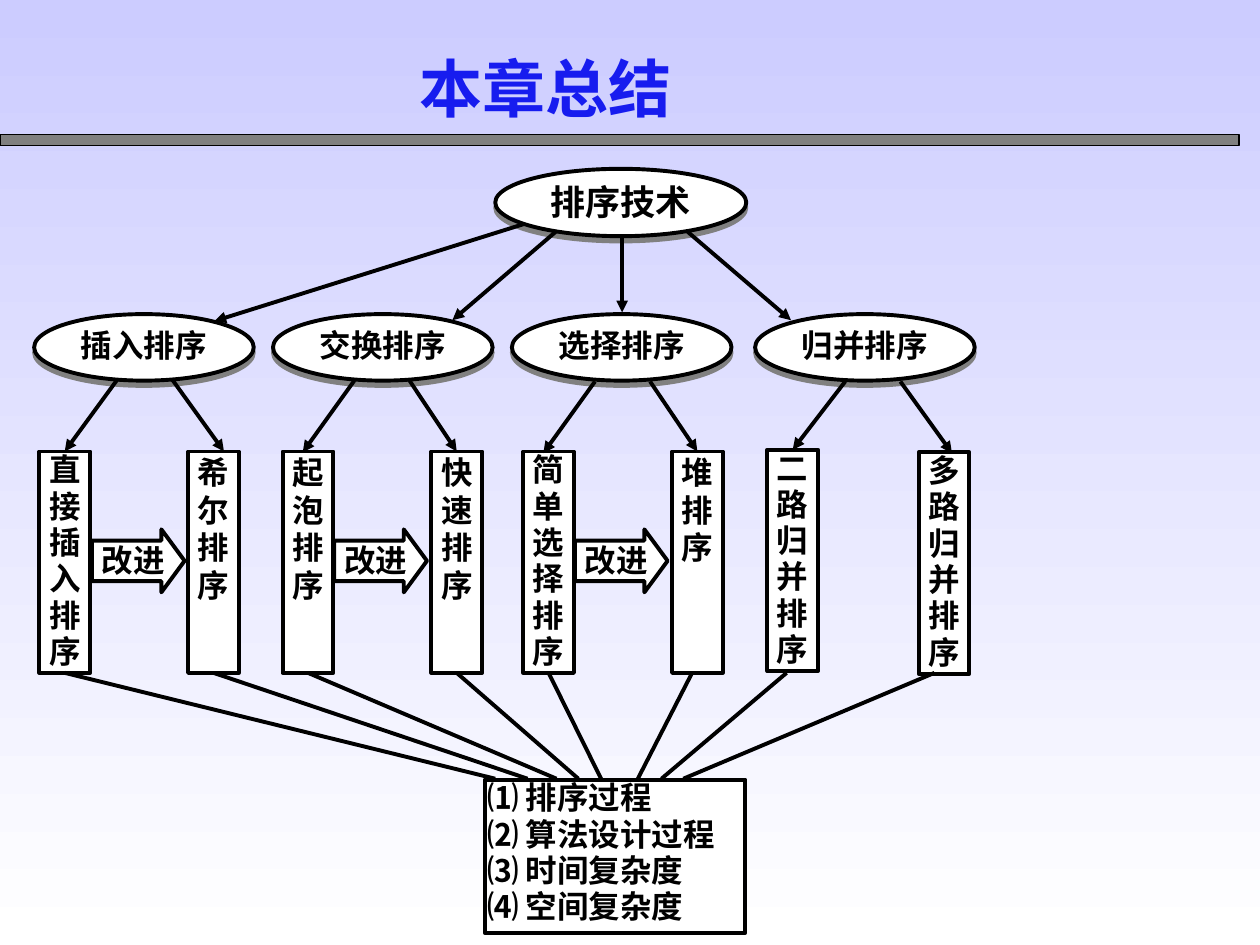
"""Build the chapter summary slide: a tree of sorting methods."""
from lxml.etree import SubElement
from pptx import Presentation
from pptx.dml.color import RGBColor
from pptx.enum.shapes import MSO_CONNECTOR, MSO_SHAPE
from pptx.enum.text import MSO_ANCHOR, MSO_AUTO_SIZE, PP_ALIGN
from pptx.oxml.ns import qn
from pptx.util import Pt

COLORS = {"sky": "CCCCFF", "white": "FFFFFF", "black": "000000",
          "gray": "808080", "title": "171CEF"}
FONT = "Times New Roman"
TITLE = "本章总结"
ROOT = "排序技术"
UPGRADE = "改进"
TOPICS = ["⑴ 排序过程", "⑵ 算法设计过程", "⑶ 时间复杂度", "⑷ 空间复杂度"]

FAMILIES = [
    {"name": "插入排序", "left": 19.5, "fork": 67, "fork_top": 217,
     "methods": [("直接插入排序", 22.5, 258), ("希尔排序", 107.5, 258)], "upgrade": 52.5},
    {"name": "交换排序", "left": 156, "fork": 202.5, "fork_top": 217.5,
     "methods": [("起泡排序", 161.5, 258), ("快速排序", 246.5, 258)], "upgrade": 191},
    {"name": "选择排序", "left": 292.5, "fork": 340, "fork_top": 218,
     "methods": [("简单选择排序", 299, 258), ("堆排序", 384, 258)], "upgrade": 328.5},
    {"name": "归并排序", "left": 431.5, "fork": 483, "fork_top": 218,
     "methods": [("二路归并排序", 438.5, 257), ("多路归并排序", 525, 258.5)], "upgrade": None},
]
ROOT_ARROWS = [((299.5, 128), (122.5, 183.5)), ((317.5, 132.5), (258.5, 183)),
               ((355.5, 136), (355.5, 178.5)), ((393, 132.5), (452, 183))]
TOPIC_LINES = [(38, 283), (122.5, 301.5), (174, 318), (259, 330.5),
               (312, 343.5), (395.5, 364.5), (449.5, 378), (534, 390.5)]
METHOD_WIDTH, METHOD_HEIGHT = 29, 126.5
FORK_GAP, FORK_REACH, FORK_DROP = 31.5, 29.5, 41
JOIN_REACH = 2.5


def color(name):
    return RGBColor.from_string(COLORS[name])


def write(frame, lines, size, margins, align, ink="black", spacing=None):
    frame.word_wrap = True
    frame.vertical_anchor = MSO_ANCHOR.TOP
    (frame.margin_left, frame.margin_top,
     frame.margin_right, frame.margin_bottom) = map(Pt, margins)
    frame.text = "\n".join(lines)
    for para in frame.paragraphs:
        para.alignment = align
        para.line_spacing = spacing
        para.font.name = FONT
        para.font.size = Pt(size)
        para.font.bold = True
        para.font.color.rgb = color(ink)


def add_box(page, kind, place, fill="white", line=2.25):
    box = page.shapes.add_shape(kind, *map(Pt, place))
    box.shadow.inherit = False
    box.fill.solid()
    box.fill.fore_color.rgb = color(fill)
    box.line.color.rgb = color("black")
    box.line.width = Pt(line)
    return box


def add_oval(page, text, place, size):
    oval = add_box(page, MSO_SHAPE.OVAL, place)
    effects = oval._element.spPr.find(qn("a:effectLst"))
    shadow = SubElement(effects, qn("a:outerShdw"), dist=str(Pt(3)), dir="5400000",
                        algn="ctr", rotWithShape="0")
    SubElement(shadow, qn("a:srgbClr"), val=COLORS["gray"])
    write(oval.text_frame, [text], size, (4.5, 1, 4.5, 1), PP_ALIGN.CENTER)


def add_line(page, start, end, arrow=False):
    line = page.shapes.add_connector(MSO_CONNECTOR.STRAIGHT, *map(Pt, start + end))
    line.line.color.rgb = color("black")
    line.line.width = Pt(2.25)
    if arrow:
        SubElement(line.line._get_or_add_ln(), qn("a:tailEnd"), type="triangle")
    SubElement(line._element.spPr, qn("a:effectLst"))
    return line


def is_centre(x, box):
    return abs(x - (box.left + box.width / 2) / Pt(1)) <= JOIN_REACH


def add_method(page, name, left, top):
    box = add_box(page, MSO_SHAPE.RECTANGLE, (left, top, METHOD_WIDTH, METHOD_HEIGHT))
    write(box.text_frame, [name], 18, (1.5, 0.75, 1.5, 0.75), PP_ALIGN.CENTER,
          spacing=0.96 if len(name) > 4 else None)
    return box


def add_family(page, family):
    add_oval(page, family["name"], (family["left"], 179.5, 125.5, 38), 18)
    boxes = [add_method(page, *method) for method in family["methods"]]
    for side, box in enumerate(boxes):
        x, y = family["fork"] + side * FORK_GAP, family["fork_top"]
        tip = x + (FORK_REACH if side else -FORK_REACH)
        arrow = add_line(page, (x, y), (tip, y + FORK_DROP), arrow=True)
        if is_centre(tip, box):
            arrow.end_connect(box, 0)
    if family["upgrade"]:
        block = add_box(page, MSO_SHAPE.RIGHT_ARROW, (family["upgrade"], 302.5, 53, 36))
        block.adjustments[0], block.adjustments[1] = 0.643, 0.368
        write(block.text_frame, [UPGRADE], 18, (3, 0, 0, 0), PP_ALIGN.CENTER)
    return boxes


def main():
    deck = Presentation()
    deck.slide_width, deck.slide_height = Pt(720), Pt(540)
    page = deck.slides.add_slide(deck.slide_layouts[6])
    backdrop = page.background.fill
    backdrop.gradient()
    backdrop.gradient_angle = 270
    for stop, name, position in zip(backdrop.gradient_stops, ("sky", "white"), (0, 1)):
        stop.color.rgb = color(name)
        stop.position = position

    add_box(page, MSO_SHAPE.RECTANGLE, (0, 77, 708, 6), "gray", 0.75)
    title = page.shapes.add_textbox(*map(Pt, (232.5, 25, 233.5, 50.5)))
    write(title.text_frame, [TITLE], 36, (7.2, 3.6, 7.2, 3.6), PP_ALIGN.LEFT, "title")
    title.text_frame.auto_size = MSO_AUTO_SIZE.SHAPE_TO_FIT_TEXT

    add_oval(page, ROOT, (283, 96.5, 143.5, 38.5), 20)
    boxes = [box for family in FAMILIES for box in add_family(page, family)]
    topics = add_box(page, MSO_SHAPE.RECTANGLE, (277, 445.5, 149, 87.5))
    write(topics.text_frame, TOPICS, 18, (1.5, 0.75, 1.5, 0.75), PP_ALIGN.JUSTIFY,
          spacing=0.96)

    for start, end in ROOT_ARROWS:
        add_line(page, start, end, arrow=True)
    for box, (start, end) in zip(boxes, TOPIC_LINES):
        line = add_line(page, (start, 384.5), (end, 445))
        if is_centre(start, box):
            line.begin_connect(box, 2)
    deck.save("out.pptx")


if __name__ == "__main__":
    main()
